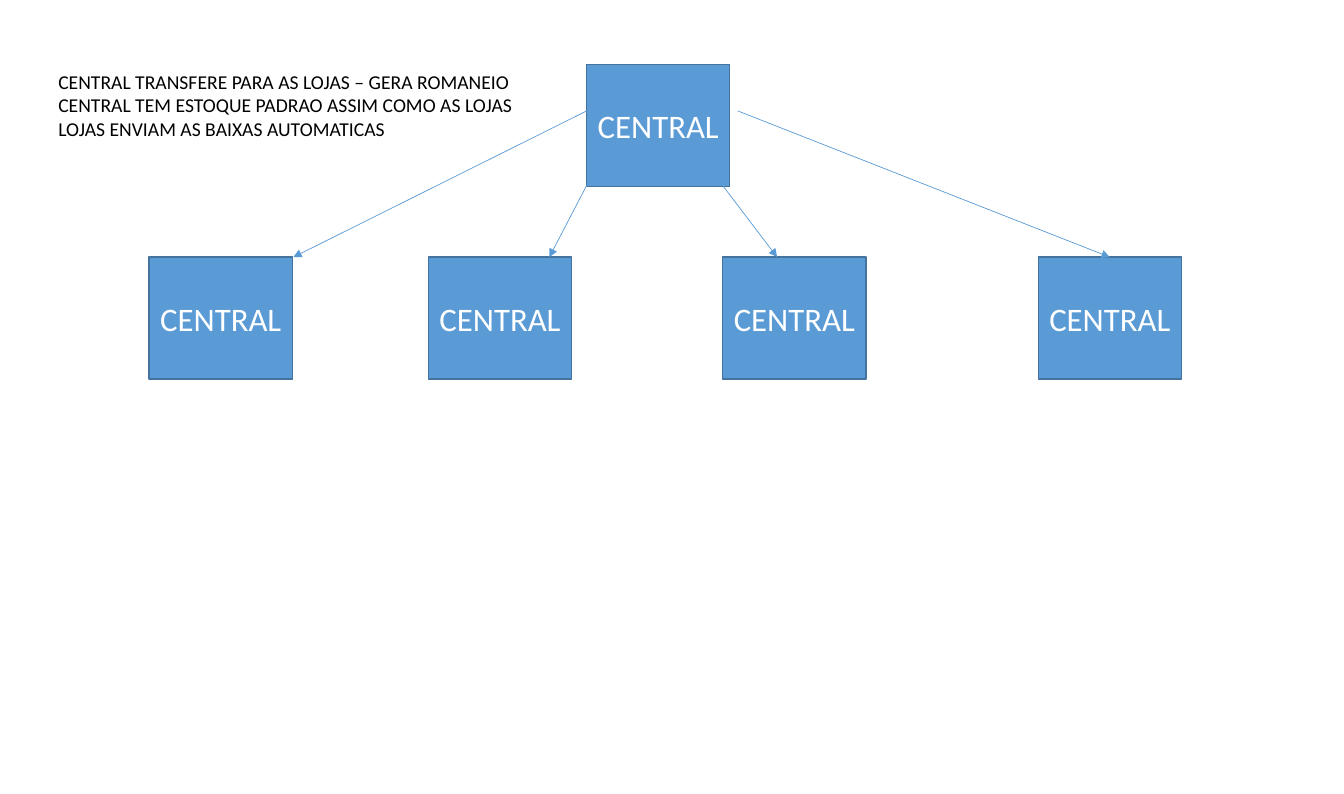
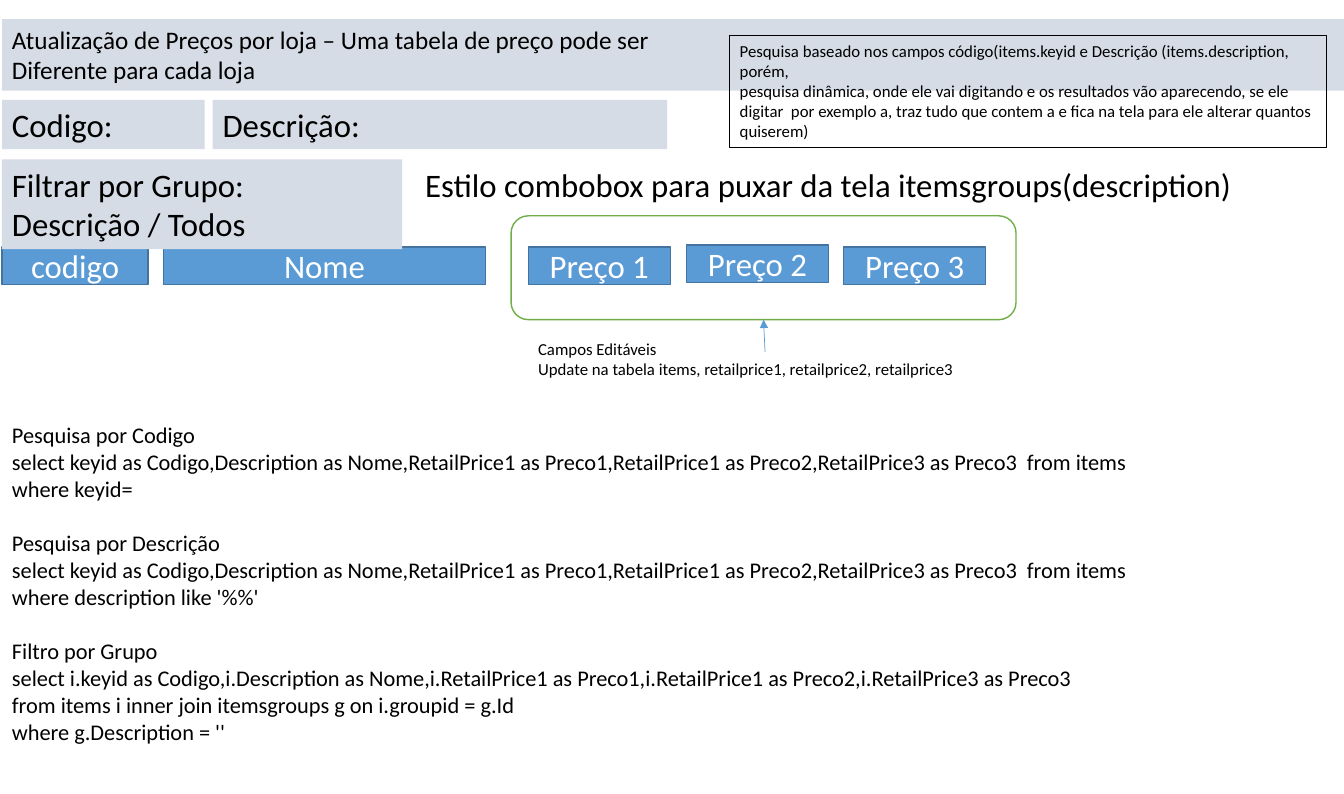
from dataclasses import dataclass
from typing import Optional

import pptx
import pptx.dml.color
import pptx.enum.shapes
import pptx.enum.text
import pptx.oxml
import pptx.oxml.ns
import pptx.util
from pptx.shapes.autoshape import Shape
from pptx.slide import Slide

EMU_PER_PX = 9144  # 100 px to the inch
SLIDE_WIDTH = pptx.util.Emu(12192000)
SLIDE_HEIGHT = pptx.util.Emu(7199313)
SHAPES = pptx.enum.shapes.MSO_SHAPE
ALIGN = pptx.enum.text.PP_ALIGN
ANCHOR = pptx.enum.text.MSO_ANCHOR


@dataclass(frozen=True)
class Theme:
    font: str = "Calibri"
    ink: str = "000000"
    white: str = "FFFFFF"
    blue: str = "5B9BD5"
    blue_edge: str = "43739E"
    band: str = "D6DCE5"
    green: str = "70AD47"
    large: float = 23.33
    title: float = 18
    query: float = 16
    note: float = 14
    small: float = 12
    edge_width: float = 1
    note_edge_width: float = 0.75
    arrow_width: float = 0.5
    query_gap: float = 19.5


THEME = Theme()


@dataclass(frozen=True)
class Box:
    left: int
    top: int
    width: int
    height: int


@dataclass(frozen=True)
class Block:
    """A blue block with one centred label."""
    label: str
    box: Box


@dataclass(frozen=True)
class Passage:
    """Left-aligned text, with or without a fill and an edge."""
    lines: tuple[str, ...]
    box: Box
    size: float = THEME.large
    fill: Optional[str] = None
    edge: Optional[str] = None
    spaced_lines: tuple[int, ...] = ()


@dataclass(frozen=True)
class Arrow:
    start: tuple[int, int]
    end: tuple[int, int]


def px(length: int) -> pptx.util.Emu:
    return pptx.util.Emu(length * EMU_PER_PX)


def rgb(value: str) -> pptx.dml.color.RGBColor:
    return pptx.dml.color.RGBColor.from_string(value)


def add_outline(slide: Slide, kind: SHAPES, box: Box, fill: Optional[str],
                edge: Optional[str], width: float) -> Shape:
    outline = slide.shapes.add_shape(
        kind, px(box.left), px(box.top), px(box.width), px(box.height))
    outline.shadow.inherit = False
    if fill:
        outline.fill.solid()
        outline.fill.fore_color.rgb = rgb(fill)
    else:
        outline.fill.background()
    if edge:
        outline.line.color.rgb = rgb(edge)
        outline.line.width = pptx.util.Pt(width)
    else:
        outline.line.fill.background()
    return outline


def set_text(holder: Shape, text: str, size: float, color: str,
             align: ALIGN, anchor: ANCHOR) -> None:
    frame = holder.text_frame
    frame.text = text
    frame.word_wrap = True
    frame.vertical_anchor = anchor
    for paragraph in frame.paragraphs:
        paragraph.alignment = align
        for run in paragraph.runs:
            run.font.name = THEME.font
            run.font.size = pptx.util.Pt(size)
            run.font.color.rgb = rgb(color)


def add_block(slide: Slide, block: Block) -> Shape:
    rectangle = add_outline(slide, SHAPES.RECTANGLE, block.box, THEME.blue,
                            THEME.blue_edge, THEME.edge_width)
    set_text(rectangle, block.label, THEME.large, THEME.white,
             ALIGN.CENTER, ANCHOR.MIDDLE)
    return rectangle


def add_passage(slide: Slide, passage: Passage) -> None:
    box = passage.box
    if passage.fill or passage.edge:
        holder = add_outline(slide, SHAPES.RECTANGLE, box, passage.fill,
                             passage.edge, THEME.note_edge_width)
    else:
        holder = slide.shapes.add_textbox(
            px(box.left), px(box.top), px(box.width), px(box.height))
    set_text(holder, "\n".join(passage.lines), passage.size, THEME.ink,
             ALIGN.LEFT, ANCHOR.TOP)
    holder.text_frame.auto_size = pptx.enum.text.MSO_AUTO_SIZE.SHAPE_TO_FIT_TEXT
    for index in passage.spaced_lines:
        holder.text_frame.paragraphs[index].space_before = pptx.util.Pt(THEME.query_gap)


def add_arrow(slide: Slide, arrow: Arrow, target: Optional[Shape] = None,
              site: int = 0) -> None:
    connector = slide.shapes.add_connector(
        pptx.enum.shapes.MSO_CONNECTOR.STRAIGHT,
        *(px(value) for value in arrow.start + arrow.end))
    if target is not None:
        connector.end_connect(target, site)
    connector.line.color.rgb = rgb(THEME.blue)
    connector.line.width = pptx.util.Pt(THEME.arrow_width)
    head = pptx.oxml.parse_xml(
        f'<a:tailEnd {pptx.oxml.ns.nsdecls("a")} type="triangle"/>')
    connector.line._get_or_add_ln().append(head)
    properties = connector._element.spPr
    properties.append(pptx.oxml.parse_xml(
        f'<a:effectLst {pptx.oxml.ns.nsdecls("a")}/>'))


# Slide 1: the central store and its branches
CENTRAL = Block("CENTRAL", Box(582, 64, 142, 121))
STORES = tuple(Block("CENTRAL", Box(left, 255, 142, 121))
               for left in (148, 425, 717, 1030))
TRANSFERS = (
    Arrow((582, 110), (291, 255)),
    Arrow((582, 184), (545, 255)),
    Arrow((717, 184), (771, 255)),
)
LAST_TRANSFER = Arrow((732, 110), (1101, 255))
STOCK_RULES = Passage(
    ("CENTRAL TRANSFERE PARA AS LOJAS – GERA ROMANEIO",
     "CENTRAL TEM ESTOQUE PADRAO ASSIM COMO AS LOJAS",
     "LOJAS ENVIAM AS BAIXAS AUTOMATICAS"),
    Box(48, 64, 474, 104), THEME.note)

# Slide 2: the price update screen
HEADING = Passage(
    ("Atualização de Preços por loja – Uma tabela de preço pode ser",
     "Diferente para cada loja"),
    Box(2, 19, 1332, 71), THEME.title, THEME.band)
COLUMNS = (
    Block("codigo", Box(2, 245, 145, 37)),
    Block("Nome", Box(162, 245, 320, 37)),
)
SEARCH_FIELDS = (
    Passage(("Filtrar por Grupo: Descrição / Todos",),
            Box(2, 158, 397, 89), fill=THEME.band),
    Passage(("Codigo:",), Box(2, 99, 201, 49), fill=THEME.band),
    Passage(("Estilo combobox para puxar da tela itemsgroups(description)",),
            Box(412, 158, 825, 49)),
    Passage(("Descrição:",), Box(211, 99, 451, 49), fill=THEME.band),
    Passage(
        ("Pesquisa baseado nos campos código(items.keyid e Descrição "
         "(items.description, porém,",
         "pesquisa dinâmica, onde ele vai digitando e os resultados vão "
         "aparecendo, se ele digitar  por exemplo a, traz tudo que contem a "
         "e fica na tela para ele alterar quantos quiserem)"),
        Box(724, 35, 592, 111), THEME.small, edge=THEME.ink),
)
PRICES = tuple(
    Block(f"Preço {number}", Box(left, top, 141, 37))
    for number, (left, top) in enumerate(((524, 245), (681, 243), (837, 245)), 1))
SELECT_ITEMS = ("select keyid as Codigo,Description as Nome,"
                "RetailPrice1 as Preco1,RetailPrice1 as Preco2,"
                "RetailPrice3 as Preco3  from items")
QUERY_LINES = (
    "Pesquisa por Codigo", SELECT_ITEMS, "where keyid=",
    "Pesquisa por Descrição", SELECT_ITEMS, "where description like '%%'",
    "Filtro por Grupo",
    "select i.keyid as Codigo,i.Description as Nome,i.RetailPrice1 as Preco1,"
    "i.RetailPrice1 as Preco2,i.RetailPrice3 as Preco3",
    "from items i inner join itemsgroups g on i.groupid = g.Id",
    "where g.Description = ''",
)
QUERIES = Passage(QUERY_LINES, Box(2, 413, 1141, 333), THEME.query,
                  spaced_lines=(3, 6))
EDITABLE_FRAME = Box(507, 214, 501, 103)
EDITABLE_POINTER = Arrow((759, 349), (758, 317))
EDITABLE_NOTE = Passage(
    ("Campos Editáveis",
     "Update na tabela items, retailprice1, retailprice2, retailprice3"),
    Box(524, 331, 553, 50), THEME.small)


def build_transfers(slide: Slide) -> None:
    add_block(slide, CENTRAL)
    stores = [add_block(slide, store) for store in STORES]
    for transfer in TRANSFERS:
        add_arrow(slide, transfer)
    add_arrow(slide, LAST_TRANSFER, stores[-1], 0)
    add_passage(slide, STOCK_RULES)


def build_prices(slide: Slide) -> None:
    add_passage(slide, HEADING)
    for column in COLUMNS:
        add_block(slide, column)
    for field in SEARCH_FIELDS:
        add_passage(slide, field)
    for price in PRICES:
        add_block(slide, price)
    add_passage(slide, QUERIES)
    editable = add_outline(slide, SHAPES.FLOWCHART_ALTERNATE_PROCESS,
                           EDITABLE_FRAME, None, THEME.green, THEME.edge_width)
    add_arrow(slide, EDITABLE_POINTER, editable, 2)
    add_passage(slide, EDITABLE_NOTE)


def main() -> None:
    deck = pptx.Presentation()
    deck.slide_width, deck.slide_height = SLIDE_WIDTH, SLIDE_HEIGHT
    for build in (build_transfers, build_prices):
        build(deck.slides.add_slide(deck.slide_layouts[6]))
    deck.save("out.pptx")


if __name__ == "__main__":
    main()
